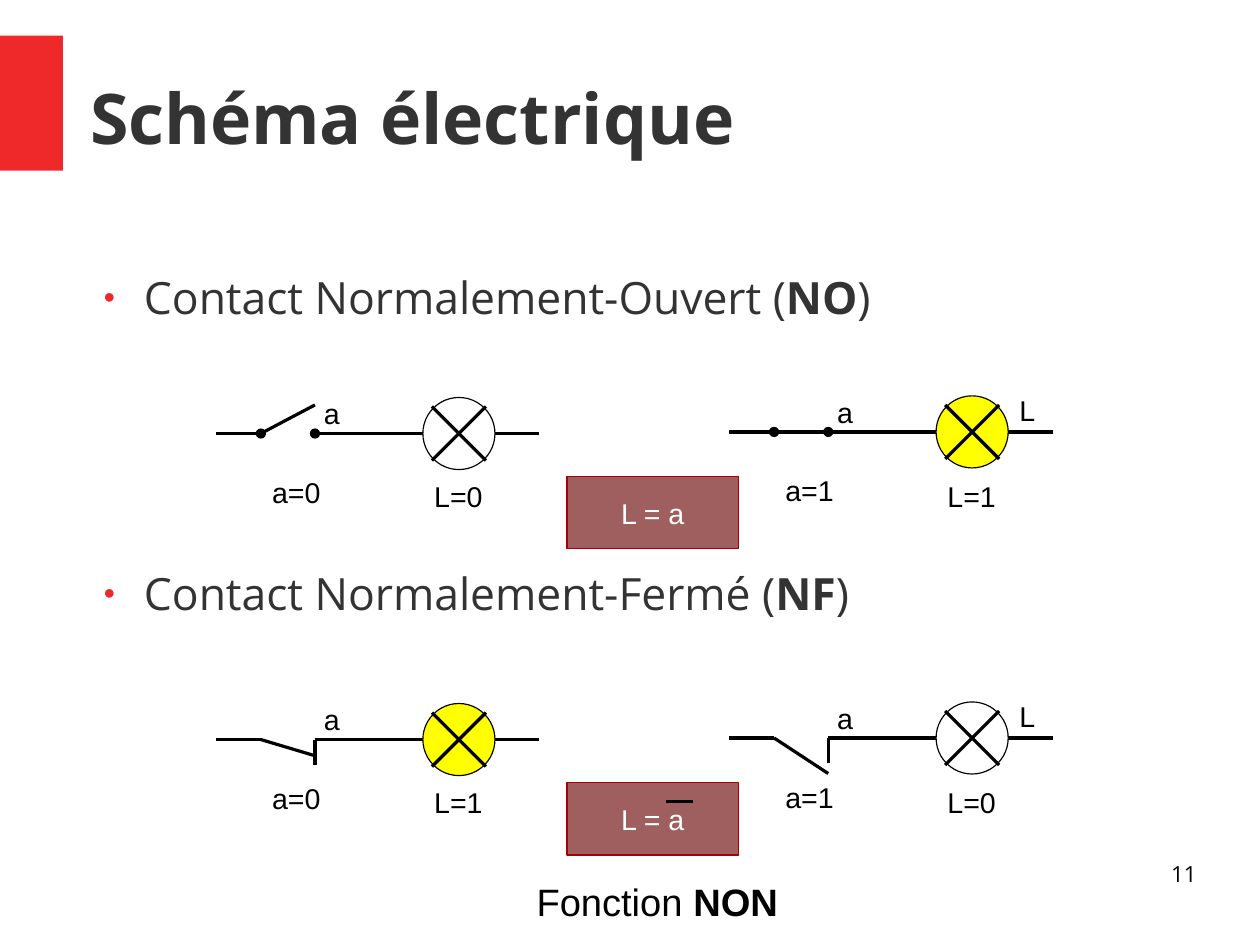
from pptx import Presentation
from pptx.dml.color import RGBColor
from pptx.enum import shapes, text
from pptx.util import Pt
from lxml import etree

HUE = {"red": "EF2929", "text": "333333", "black": "000000", "white": "FFFFFF",
       "lit": "FFFF00", "box": "9F5F5F", "edge": "A80000"}
NS = "http://schemas.openxmlformats.org/drawingml/2006/main"
KIND = shapes.MSO_SHAPE
SIDE = text.PP_ALIGN

deck = Presentation()
deck.slide_width, deck.slide_height = Pt(793.7), Pt(595.3)
slide = deck.slides.add_slide(deck.slide_layouts[1])
pool = slide.shapes


def draw(kind, x, y, w, h, fill=None, edge="black"):
    """Add a line (w and h are its run) or a preset shape."""
    if kind == "line":
        item = pool.add_connector(shapes.MSO_CONNECTOR.STRAIGHT,
                                  Pt(x), Pt(y), Pt(x + w), Pt(y + h))
        etree.SubElement(item._element.spPr, f"{{{NS}}}effectLst")
    else:
        item = pool.add_shape(kind, Pt(x), Pt(y), Pt(w), Pt(h))
        item.shadow.inherit = False
        if fill:
            item.fill.solid()
            item.fill.fore_color.rgb = RGBColor.from_string(HUE[fill])
        else:
            item.fill.background()
    if edge:
        item.line.color.rgb = RGBColor.from_string(HUE[edge])
        item.line.width = Pt(0)
    else:
        item.line.fill.background()
    return item


def write(item, rows, size, font="Arial", hue="black", side=SIDE.LEFT, pad=True):
    """Fill a shape with rows of (words, bold) parts."""
    frame = item.text_frame
    frame.word_wrap = True
    frame.auto_size = text.MSO_AUTO_SIZE.NONE
    frame.margin_left = frame.margin_right = Pt(7.2 if pad else 0)
    frame.margin_top = frame.margin_bottom = Pt(3.6 if pad else 0)
    for i, row in enumerate(rows):
        para = frame.add_paragraph() if i else frame.paragraphs[0]
        para.alignment = side
        for words, bold in row:
            run = para.add_run()
            run.text = words
            run.font.size, run.font.name, run.font.bold = Pt(size), font, bold
            run.font.color.rgb = RGBColor.from_string(HUE[hue])
    return frame


# Red mark and title
draw(KIND.RECTANGLE, 0, 22.5, 39.7, 85, "red", None)
title, body = slide.placeholders
title.left, title.top, title.width, title.height = Pt(56.7), Pt(23.7), Pt(697), Pt(99.4)
frame = write(title, [[("Schéma électrique", True)]], 44, "Open Sans", "text", pad=False)
frame.vertical_anchor = text.MSO_ANCHOR.MIDDLE

# List of contact types, spaced to leave room for the circuits
body.left, body.top, body.width, body.height = Pt(56.7), Pt(170), Pt(680.3), Pt(345.6)
names = [("Ouvert", "NO"), ("Fermé", "NF")]
rows = [[(f"Contact Normalement-{name} (", False), (code, True), (")", False)]
        for name, code in names]
frame = write(body, rows, 28, "Open Sans", "text", pad=False)
frame.vertical_anchor = text.MSO_ANCHOR.TOP
for para in frame.paragraphs:
    para.space_before, para.space_after = Pt(0), Pt(152.7)
    props = para._p.get_or_add_pPr()
    props.set("marL", str(Pt(34)))
    props.set("indent", str(Pt(-25.5)))
    tint = etree.SubElement(props, f"{{{NS}}}buClr")
    etree.SubElement(tint, f"{{{NS}}}srgbClr", val=HUE["red"])
    etree.SubElement(props, f"{{{NS}}}buSzPct", val="45000")
    etree.SubElement(props, f"{{{NS}}}buChar", char="●")

# Circuits: column, row, drop of the switch arm, input a, lamp L
PIVOT, STOP, LAMP, SIZE, END = 28.3, 62.4, 130.4, 45.4, 203.8
STEP = 192.8
circuits = [(0, 0, -18, 0, 0), (1, 0, 0, 1, 1),
            (0, 1, 10.2, 0, 1), (1, 1, 22.4, 1, 0)]
for col, row, drop, inp, out in circuits:
    x, y = 136 + 323.3 * col, 273.1 - col + STEP * row
    # Wires and switch
    for start, stop in [(0, PIVOT), (STOP, LAMP), (LAMP + SIZE, END)]:
        draw("line", x + start, y, stop - start, 0)
    draw("line", x + PIVOT, y, STOP - PIVOT, drop)
    if row:
        draw("line", x + STOP, y, 0, 16)
    else:
        for dot in (PIVOT, STOP):
            draw(KIND.OVAL, x + dot - 2.85, y - 2.85, 5.7, 5.7, "black")
    # Lamp with its cross
    draw(KIND.OVAL, x + LAMP, y - SIZE / 2, SIZE, SIZE, "lit" if out else None)
    for way in (-1, 1):
        draw("line", x + LAMP + 5.7, y - 17 * way, 34, 34 * way)
    # Labels
    tags = [("a", STOP - 1.5, y - 27), (f"a={inp}", PIVOT, y + 22.6),
            (f"L={out}", LAMP, 298.3 + STEP * row)]
    if col:
        tags.append(("L", LAMP + SIZE, y - 28.3))
    for words, left, top in tags:
        tag = pool.add_textbox(Pt(x + left), Pt(top), Pt(51), Pt(27.4))
        write(tag, [[(words, False)]], 18)

# Equations, the second one with a bar over a
for row in range(2):
    box = draw(KIND.RECTANGLE, 357.2, 300.4 + STEP * row, 108, 45.4, "box", "edge")
    frame = write(box, [[("L = a", False)]], 18, hue="white", side=SIDE.CENTER)
    frame.vertical_anchor = text.MSO_ANCHOR.MIDDLE
draw("line", 419.5, 504.7, 17, 0)

# Function name and page number
note = pool.add_textbox(Pt(323.3), Pt(550), Pt(181.4), Pt(34))
write(note, [[("Fonction ", False), ("NON", True)]], 24, side=SIDE.CENTER)
page = pool.add_textbox(Pt(568.8), Pt(542.2), Pt(185), Pt(41))
write(page, [[("11", False)]], 14, "Open Sans", side=SIDE.RIGHT, pad=False)

deck.save("out.pptx")
